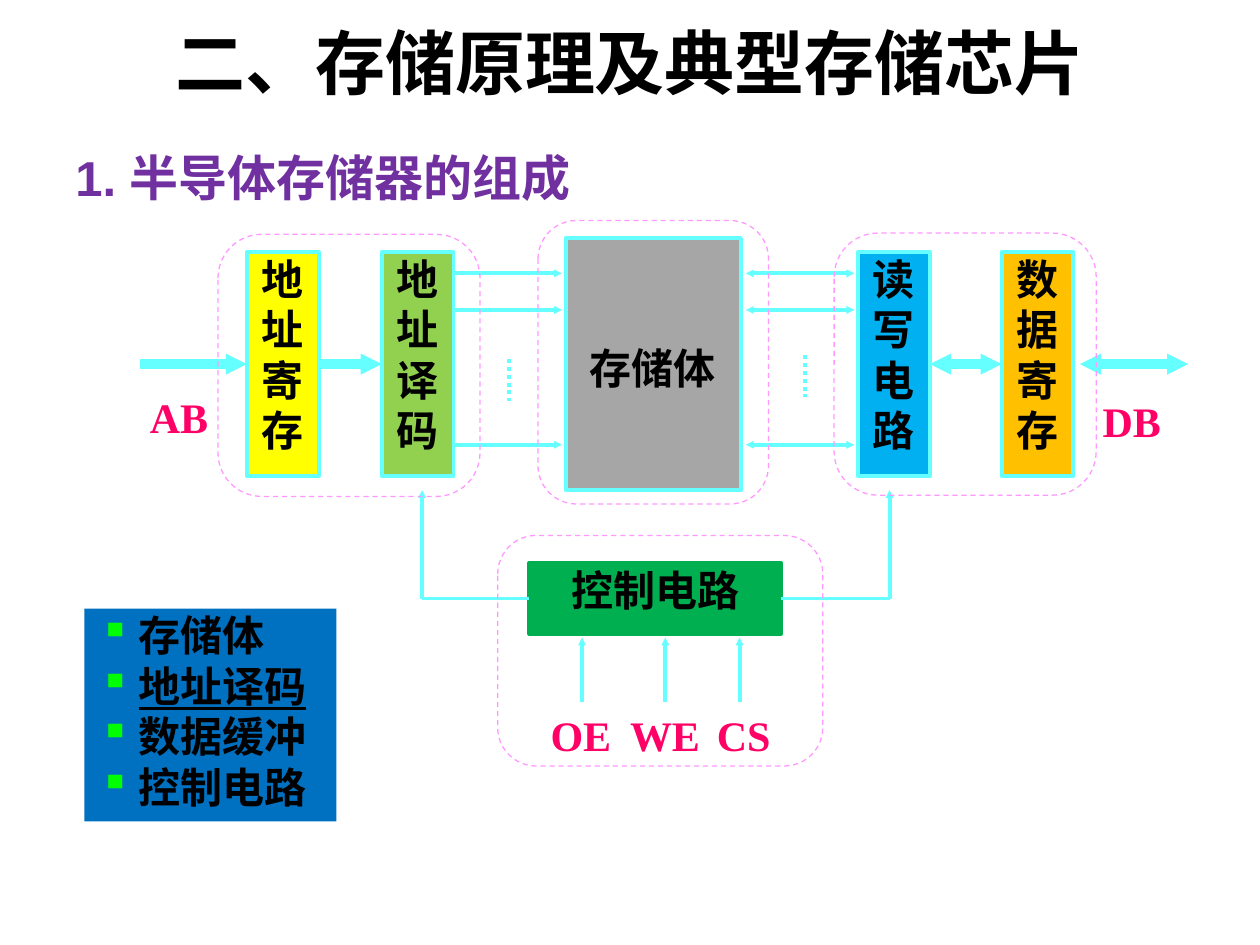
from lxml.etree import SubElement
from pptx import Presentation
from pptx.dml.color import RGBColor
from pptx.enum.dml import MSO_LINE
from pptx.enum.shapes import MSO_CONNECTOR, MSO_SHAPE
from pptx.enum.text import MSO_ANCHOR, PP_ALIGN
from pptx.oxml.ns import qn
from pptx.util import Inches, Pt

rgb = RGBColor.from_string
CYAN, PINK, BLACK = "66FFFF", "FF0066", "000000"
TOP, LEFT, BOTTOM, RIGHT = range(4)
BUS_Y = 2.89

deck = Presentation()
deck.slide_width, deck.slide_height = Inches(10), Inches(7.5)
page = deck.slides.add_slide(deck.slide_layouts[6])


def add_box(place, lines=(), fill=None, border=None, color=BLACK, size=24,
            font="Times New Roman", align=PP_ALIGN.CENTER, margin=0.01, bullet=None):
    """Add a rectangle, or a plain text box when there is neither fill nor border."""
    place = [Inches(value) for value in place]
    if fill or border:
        box = page.shapes.add_shape(MSO_SHAPE.RECTANGLE, *place)
        box.shadow.inherit = False
        if fill:
            box.fill.solid()
            box.fill.fore_color.rgb = rgb(fill)
        if border:
            box.line.color.rgb = rgb(border)
            box.line.width = Pt(2.25)
        else:
            box.line.fill.background()
    else:
        box = page.shapes.add_textbox(*place)
    frame = box.text_frame
    frame.word_wrap = True
    frame.vertical_anchor = MSO_ANCHOR.TOP
    frame.margin_left = frame.margin_right = Inches(margin)
    frame.margin_top = frame.margin_bottom = Inches(min(margin, 0.05))
    for index, line in enumerate(lines):
        para = frame.paragraphs[0] if index == 0 else frame.add_paragraph()
        para.text = line
        para.alignment = align
        if bullet:
            props = para._p.get_or_add_pPr()
            props.set("marL", str(Inches(0.42)))
            props.set("indent", str(Inches(-0.31)))
            SubElement(SubElement(props, qn("a:buClr")), qn("a:srgbClr"), val=bullet)
            SubElement(props, qn("a:buChar"), char="▪")
        para.font.name = font
        para.font.size = Pt(size)
        para.font.bold = True
        para.font.color.rgb = rgb(color)
    return box


def add_wire(x1, y1, x2, y2, width=2.25, arrows=(), dash=None):
    """Add a cyan line; arrows lists the ends ("head", "tail") that get a small triangle."""
    wire = page.shapes.add_connector(
        MSO_CONNECTOR.STRAIGHT, Inches(x1), Inches(y1), Inches(x2), Inches(y2))
    wire.line.color.rgb = rgb(CYAN)
    wire.line.width = Pt(width)
    if dash:
        wire.line.dash_style = dash
    outline = wire.line._get_or_add_ln()
    for end in arrows:
        SubElement(outline, qn(f"a:{end}End"), type="triangle", w="sm", len="sm")
    SubElement(wire._element.spPr, qn("a:effectLst"))
    return wire


# Memory array and the four tall blocks beside it
add_box((4.49, 1.89, 1.39, 2), fill="A6A6A6", border=CYAN)
add_box((4.25, 2.71, 1.86, 0.89), ["存储体"])
address_register, address_decoder, read_write, data_register = [
    add_box((left, 2, 0.57, 1.78), label, fill, CYAN)
    for left, label, fill in [
        (1.96, "地址寄存", "FFFF00"),
        (3.03, "地址译码", "92D050"),
        (6.81, "读写电路", "00B0F0"),
        (7.95, "数据寄存", "FFC000"),
    ]
]
control = add_box((4.2, 4.47, 2, 0.56), ["控制电路"], "00B050", "00B050")

# Word lines on the left, bit lines on the right
for y in (2.17, 2.46, 3.53):
    add_wire(3.6, y, 4.46, y, arrows=["tail"])
    add_wire(5.92, y, 6.78, y, arrows=["head", "tail"])
for x, y in [(4.04, 2.85), (6.39, 2.82)]:
    add_wire(x, y, x, y + 0.33, dash=MSO_LINE.ROUND_DOT)

# Address and data buses
address_bus = add_wire(1.11, BUS_Y, 1.96, BUS_Y, 6, ["tail"])
address_bus.end_connect(address_register, LEFT)
address_link = add_wire(2.53, BUS_Y, 3.03, BUS_Y, 6, ["tail"])
address_link.begin_connect(address_register, RIGHT)
address_link.end_connect(address_decoder, LEFT)
data_link = add_wire(7.38, BUS_Y, 7.95, BUS_Y, 6, ["head", "tail"])
data_link.begin_connect(read_write, RIGHT)
data_link.end_connect(data_register, LEFT)
add_wire(8.57, BUS_Y, 9.43, BUS_Y, 6, ["head", "tail"])

# Control lines up to the decoder and the read/write circuit
for corner_x, edge_x, side in [(3.35, 4.2, LEFT), (7.06, 6.2, RIGHT)]:
    add_wire(edge_x, 4.75, corner_x, 4.75).begin_connect(control, side)
    add_wire(corner_x, 4.75, corner_x, 3.89, arrows=["tail"])
for x in (4.62, 5.28, 5.87):
    add_wire(x, 5.57, x, 5.06, arrows=["tail"])

# Signal names
for left, top, signal in [
    (1.18, 3.1, "AB"), (8.74, 3.13, "DB"),
    (4.36, 5.62, "OE"), (4.99, 5.62, "WE"), (5.68, 5.62, "CS"),
]:
    add_box((left, top, 0.72, 0.62), [signal], color=PINK, align=PP_ALIGN.JUSTIFY)

# Dashed outlines around the functional groups
for place in [
    (6.62, 1.85, 2.08, 2.08), (1.73, 1.86, 2.08, 2.08),
    (3.95, 4.25, 2.58, 1.83), (4.27, 1.75, 1.83, 2.25),
]:
    group_outline = page.shapes.add_shape(
        MSO_SHAPE.ROUNDED_RECTANGLE, *[Inches(value) for value in place])
    group_outline.shadow.inherit = False
    group_outline.fill.background()
    group_outline.line.color.rgb = rgb("FF99FF")
    group_outline.line.width = Pt(0.75)
    group_outline.line.dash_style = MSO_LINE.DASH

# Summary list, title and heading
summary = add_box((0.67, 4.83, 2, 1.69), ["存储体", "地址译码", "数据缓冲", "控制电路"],
                  fill="0070C0", align=PP_ALIGN.LEFT, bullet="00FF00")
summary.text_frame.paragraphs[1].runs[0].font.underline = True

title = add_box((0.5, 0, 9, 0.97), ["二、存储原理及典型存储芯片"],
                size=40, font="Arial", margin=0.1)
title.text_frame.vertical_anchor = MSO_ANCHOR.MIDDLE

heading = add_box((0.5, 0.89, 4.97, 0.74), ["1. 半导体存储器的组成"], color="7030A0",
                  size=28, font="Arial", align=PP_ALIGN.LEFT, margin=0.1)
heading_para = heading.text_frame.paragraphs[0]
heading_para.line_spacing = 1.5
heading_para.space_after = Pt(10)

deck.save("out.pptx")
